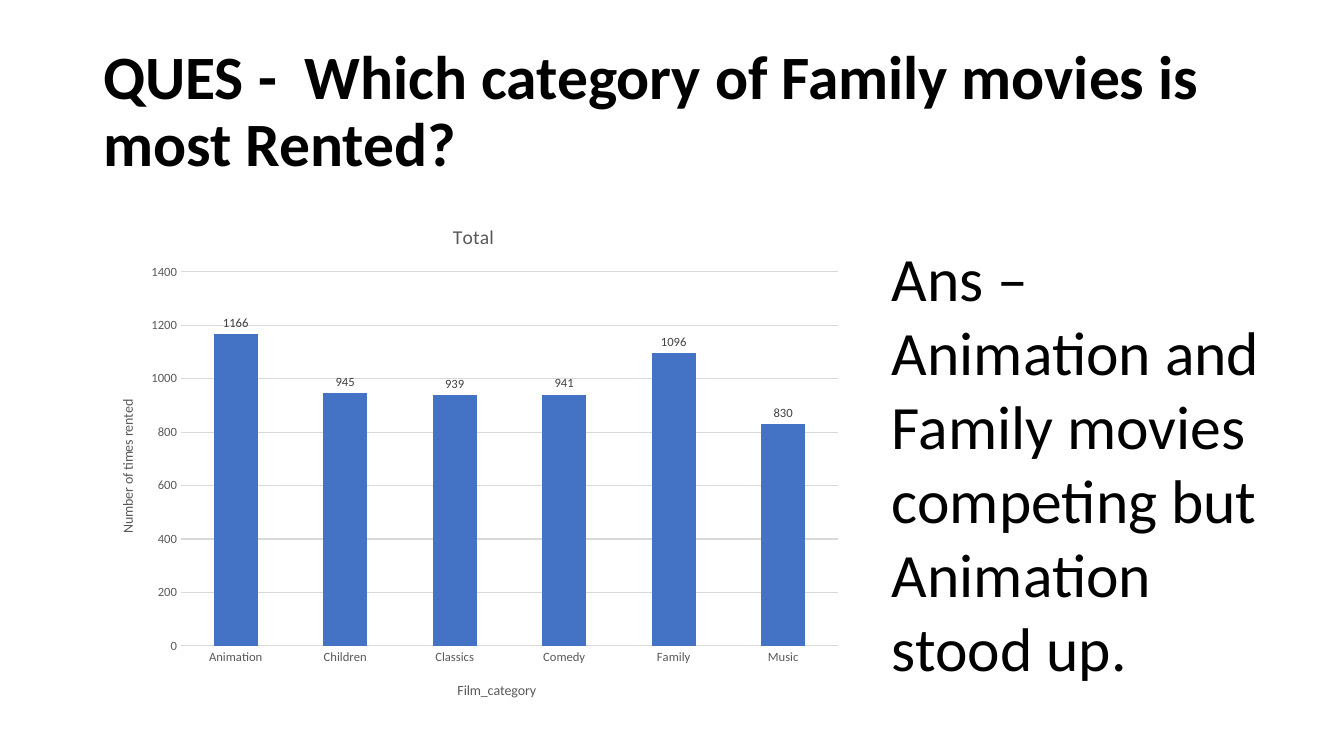
from lxml import etree
from pptx import Presentation
from pptx.chart.data import CategoryChartData
from pptx.dml.color import RGBColor
from pptx.enum.chart import XL_CHART_TYPE, XL_LABEL_POSITION, XL_TICK_MARK
from pptx.enum.text import MSO_ANCHOR, MSO_AUTO_SIZE, PP_ALIGN
from pptx.oxml.ns import qn
from pptx.util import Pt

COLUMN = XL_CHART_TYPE.COLUMN_CLUSTERED
OUTSIDE = XL_LABEL_POSITION.OUTSIDE_END
NO_TICK = XL_TICK_MARK.NONE
MIDDLE = MSO_ANCHOR.MIDDLE
NO_FIT, GROW = MSO_AUTO_SIZE.NONE, MSO_AUTO_SIZE.SHAPE_TO_FIT_TEXT
LEFT = PP_ALIGN.LEFT

PIXEL = 914400 / 100.8
FACE = "Calibri"
COLORS = {"text": "000000", "axis": "595959", "label": "404040",
          "grid": "D9D9D9", "bar": "4472C4"}
CHART_W, CHART_H = 761, 512


def style(font, size, color, bold=False):
    font.name = FACE
    font.size = Pt(size)
    font.bold = bold
    font.color.rgb = RGBColor.from_string(COLORS[color])


def place(parent, index, **spots):
    for old in parent.findall(qn("c:layout")):
        parent.remove(old)
    layout = etree.Element(qn("c:layout"))
    parent.insert(index, layout)
    manual = etree.SubElement(layout, qn("c:manualLayout"))
    if "w" in spots:
        etree.SubElement(manual, qn("c:layoutTarget")).set("val", "inner")
    for key in ("x", "y"):
        etree.SubElement(manual, qn(f"c:{key}Mode")).set("val", "edge")
    for key, pixels in spots.items():
        whole = CHART_W if key in "xw" else CHART_H
        etree.SubElement(manual, qn(f"c:{key}")).set("val", str(pixels / whole))


deck = Presentation()
deck.slide_width = round(1344 * PIXEL)
deck.slide_height = round(756 * PIXEL)
slide = deck.slides.add_slide(deck.slide_layouts[5])

title = slide.shapes.title
title.left, title.top, title.width, title.height = [
    round(n * PIXEL) for n in (93, 40, 1159, 146)]
frame = title.text_frame
frame.text = "QUES -  Which category of Family movies is most Rented?"
frame.auto_size = NO_FIT
frame.vertical_anchor = MIDDLE
line = frame.paragraphs[0]
line.alignment = LEFT
line.line_spacing = 0.9
style(line.runs[0].font, 44, "text", True)

data = CategoryChartData()
data.categories = ["Animation", "Children", "Classics", "Comedy", "Family", "Music"]
data.add_series("Total", (1166, 945, 939, 941, 1096, 830))
box = [round(n * PIXEL) for n in (93, 204, CHART_W, CHART_H)]
chart = slide.shapes.add_chart(COLUMN, *box, data).chart
style(chart.font, 10, "text")
chart.has_legend = False
chart.has_title = True
chart.chart_title.text_frame.text = "Total"
style(chart.chart_title.text_frame.paragraphs[0].runs[0].font, 14, "axis")

plot = chart.plots[0]
plot.gap_width = 150
plot.vary_by_categories = False
fill = plot.series[0].format.fill
fill.solid()
fill.fore_color.rgb = RGBColor.from_string(COLORS["bar"])
plot.has_data_labels = True
labels = plot.data_labels
labels.show_value = True
labels.position = OUTSIDE
style(labels.font, 9, "label")

for axis, name, x, y in (
    (chart.category_axis, "Film_category", 362, 475),
    (chart.value_axis, "Number of times rented", 23, 193),
):
    axis.major_tick_mark = axis.minor_tick_mark = NO_TICK
    axis.format.line.fill.background()
    style(axis.tick_labels.font, 9, "axis")
    axis.axis_title.text_frame.text = name
    style(axis.axis_title.text_frame.paragraphs[0].runs[0].font, 10, "axis")
    place(axis.axis_title._element, 1, x=x, y=y)

scale = chart.value_axis
scale.minimum_scale, scale.maximum_scale, scale.major_unit = 0, 1400, 200
grid = scale.major_gridlines.format.line
grid.width = Pt(0.75)
grid.color.rgb = RGBColor.from_string(COLORS["grid"])
place(chart._chartSpace.chart.plotArea, 0, x=88, y=68, w=657, h=374)

box = [round(n * PIXEL) for n in (882, 235, 407, 458)]
frame = slide.shapes.add_textbox(*box).text_frame
frame.word_wrap = True
frame.auto_size = GROW
frame.text = "Ans – Animation and Family movies competing but Animation stood up."
style(frame.paragraphs[0].runs[0].font, 44, "text")

deck.save("out.pptx")
